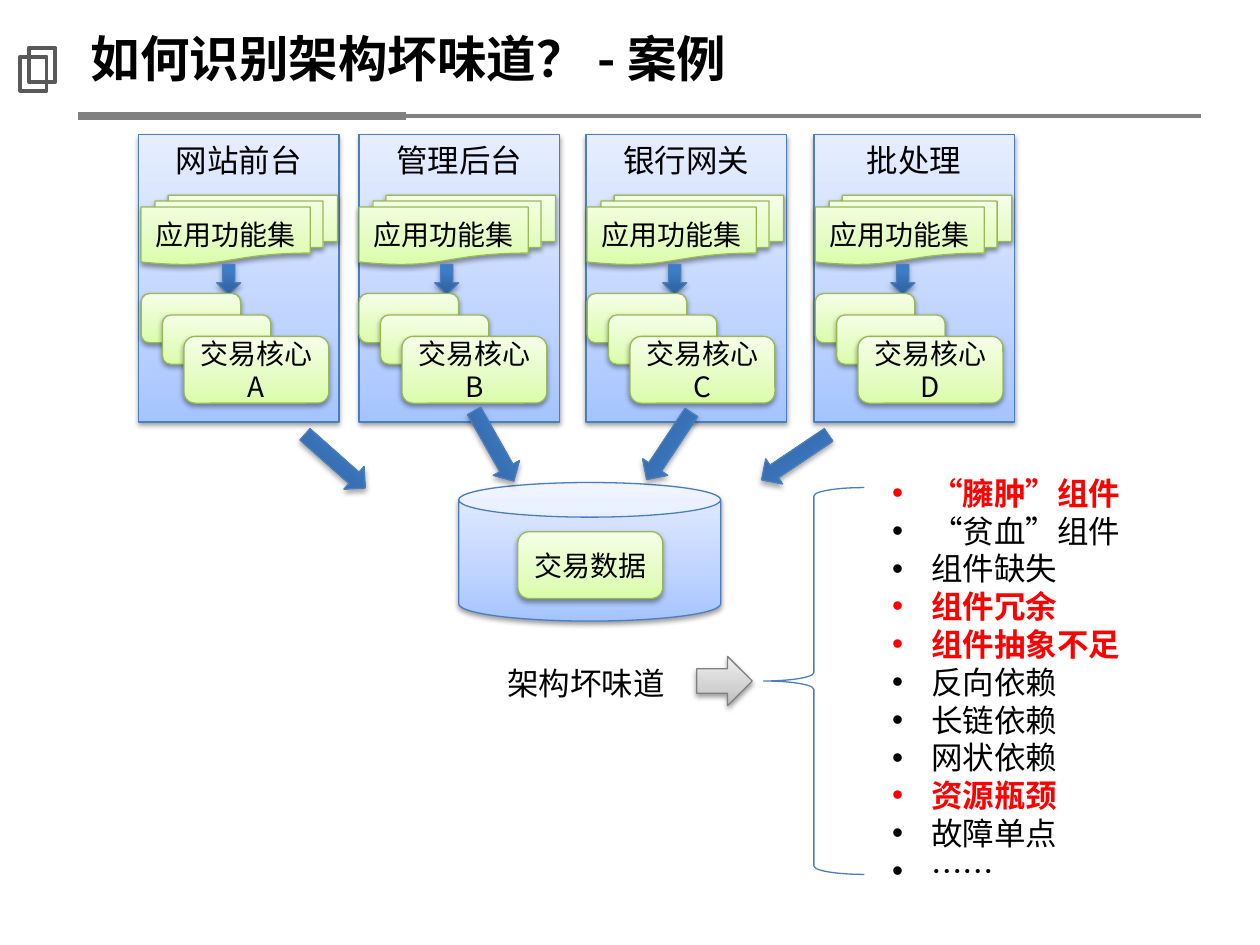
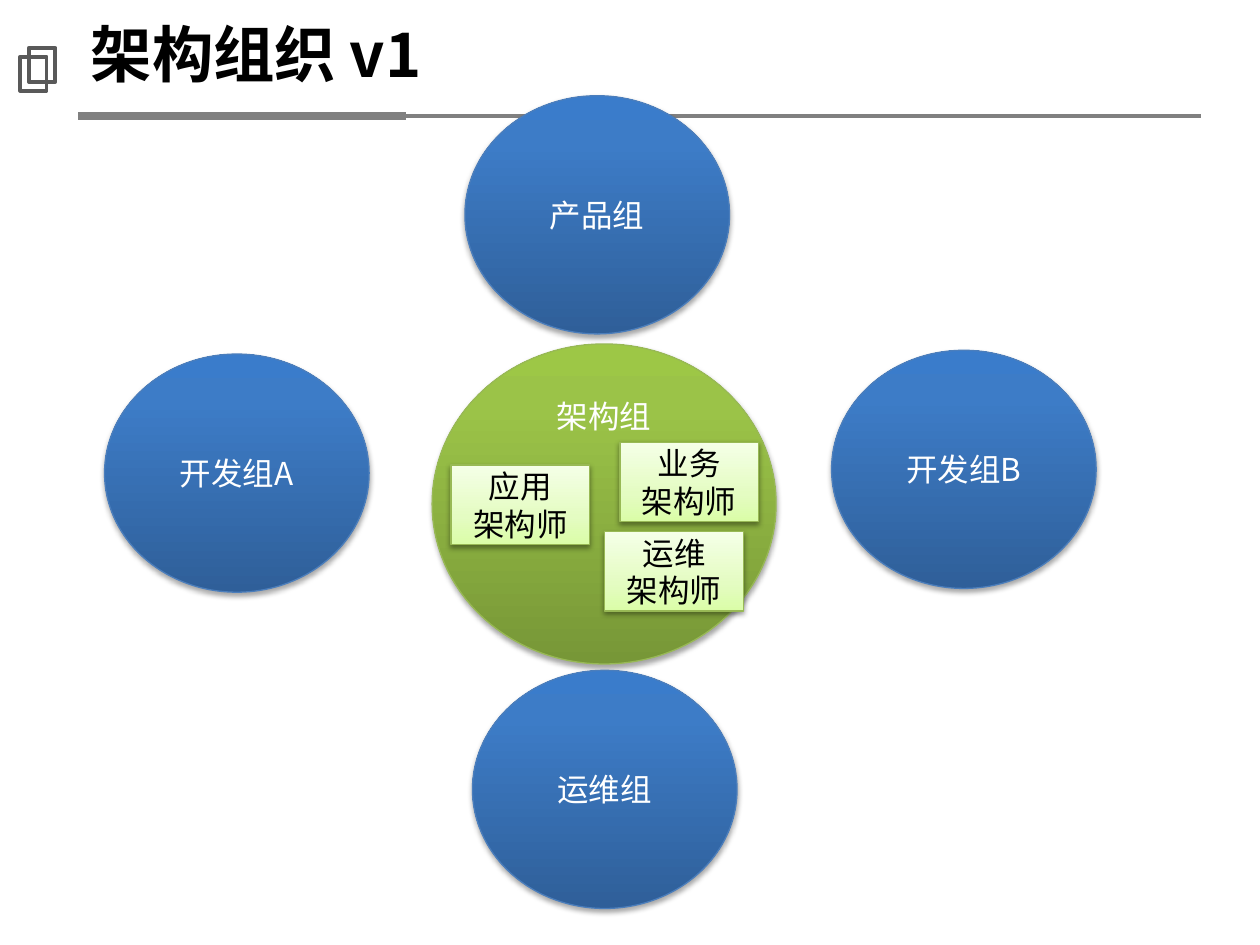
from dataclasses import dataclass

from lxml import etree
from pptx import Presentation
from pptx.dml.color import RGBColor
from pptx.enum.shapes import MSO_CONNECTOR, MSO_SHAPE
from pptx.enum.text import MSO_ANCHOR, MSO_AUTO_SIZE, PP_ALIGN
from pptx.oxml.ns import qn
from pptx.util import Inches, Pt

RECT, OVAL, CAN = MSO_SHAPE.RECTANGLE, MSO_SHAPE.OVAL, MSO_SHAPE.CAN
DOCUMENTS = MSO_SHAPE.FLOWCHART_MULTIDOCUMENT
ROUNDED = MSO_SHAPE.FLOWCHART_ALTERNATE_PROCESS
DOWN_ARROW, RIGHT_ARROW = MSO_SHAPE.DOWN_ARROW, MSO_SHAPE.RIGHT_ARROW
LEFT_BRACE, STRAIGHT = MSO_SHAPE.LEFT_BRACE, MSO_CONNECTOR.STRAIGHT
TOP, MIDDLE = MSO_ANCHOR.TOP, MSO_ANCHOR.MIDDLE
LEFT, CENTER = PP_ALIGN.LEFT, PP_ALIGN.CENTER
NO_FIT = MSO_AUTO_SIZE.NONE

FONT = "Noto Sans CJK SC"
LINE_HEIGHT = 1.2
COLORS = {
    "text": "000000", "inverse": "FFFFFF", "alert": "FF0000",
    "rule": "808080", "emblem": "595959", "shadow": "000000",
    "blue_line": "4B7EBC", "green_line": "98B955",
}


@dataclass(frozen=True)
class Look:
    """Gradient stops from bottom to top, outline and shadow of a shape."""
    stops: tuple[tuple[int, str], ...]
    line: str
    text: str = COLORS["text"]
    shadow_alpha: int = 38
    shadow_distance: float = 1.6


@dataclass(frozen=True)
class Area:
    left: float
    top: float
    width: float
    height: float


@dataclass(frozen=True)
class Subsystem:
    name: str
    core: str
    left: float
    content_left: float


@dataclass(frozen=True)
class FlowArrow:
    left: float
    top: float
    rotation: float


@dataclass(frozen=True)
class Block:
    label: str
    left: float
    top: float


PALE_BLUE = Look(((0, "A4C4FF"), (35, "BFD4FF"), (100, "E6EEFF")), COLORS["blue_line"])
PALE_GREEN = Look(((0, "DAFDA7"), (35, "E4FCC2"), (100, "F5FFE7")), COLORS["green_line"])
GREY = Look(((0, "BDBDBD"), (35, "D1D1D1"), (100, "EEEEEE")), COLORS["rule"])
BLUE = Look(((0, "2F5F99"), (80, "3D7CC7"), (100, "3A7CCB")), COLORS["blue_line"],
            COLORS["inverse"], 35, 1.8)
GREEN = Look(((0, "779737"), (80, "9BC348"), (100, "9DC746")), COLORS["green_line"],
             COLORS["inverse"], 35, 1.8)

SUBSYSTEMS = [
    Subsystem("网站前台", "A", 1.1, 1.12),
    Subsystem("管理后台", "B", 2.85, 2.85),
    Subsystem("银行网关", "C", 4.65, 4.66),
    Subsystem("批处理", "D", 6.46, 6.47),
]
FLOW_ARROWS = [
    FlowArrow(2.34, 3.54, 41.6), FlowArrow(3.6, 3.42, 60.5),
    FlowArrow(4.99, 3.42, 123.6), FlowArrow(5.99, 3.51, 146.1),
]
SMELLS = [
    ("“臃肿”组件", True), ("“贫血”组件", False), ("组件缺失", False),
    ("组件冗余", True), ("组件抽象不足", True), ("反向依赖", False),
    ("长链依赖", False), ("网状依赖", False), ("资源瓶颈", True),
    ("故障单点", False), ("……", False),
]
TEAMS = [
    Block("开发组B", 6.6, 2.78), Block("开发组A", 0.83, 2.81),
    Block("运维组", 3.75, 5.32), Block("产品组", 3.69, 0.76),
]
ARCHITECTS = [
    Block("应用", 3.58, 3.69), Block("运维", 4.8, 4.22), Block("业务", 4.92, 3.51),
]


def bounds(area: Area) -> tuple:
    return (Inches(area.left), Inches(area.top), Inches(area.width), Inches(area.height))


def place(shape, area: Area) -> None:
    shape.left, shape.top, shape.width, shape.height = bounds(area)


def add_color(parent, value: str):
    return etree.SubElement(parent, qn("a:srgbClr"), val=value)


def format_paragraph(para, size: float, color: str, bold: bool = False,
                     align=CENTER, tight: bool = False) -> None:
    """Set the font for all scripts; tight fixes the line height."""
    para.alignment = align
    para.space_before = para.space_after = Pt(0)
    if tight:
        para.line_spacing = Pt(size * LINE_HEIGHT)
    font = para.font
    font.size, font.bold, font.name = Pt(size), bold, FONT
    font.color.rgb = RGBColor.from_string(color)
    for span in para.runs:
        span.font.name = FONT
        etree.SubElement(span.font._element, qn("a:ea"), typeface=FONT)


def write(shape, lines: list[str], size: float, color: str, anchor=MIDDLE) -> None:
    frame = shape.text_frame
    frame.word_wrap = True
    frame.vertical_anchor = anchor
    frame.margin_left = frame.margin_right = Inches(0.05)
    frame.text = "\n".join(lines)
    for para in frame.paragraphs:
        format_paragraph(para, size, color, tight=anchor == TOP or len(lines) > 1)


def apply_look(shape, look: Look) -> None:
    shape.fill.gradient()
    shape.fill.gradient_angle = 90
    properties = shape.element.spPr
    stop_list = properties.find(qn("a:gradFill")).find(qn("a:gsLst"))
    for stop in list(stop_list):
        stop_list.remove(stop)
    for position, color in look.stops:
        add_color(etree.SubElement(stop_list, qn("a:gs"), pos=str(position * 1000)), color)
    shape.line.color.rgb = RGBColor.from_string(look.line)
    shape.line.width = Pt(0.75)
    effects = etree.SubElement(properties, qn("a:effectLst"))
    shadow = etree.SubElement(
        effects, qn("a:outerShdw"), blurRad=str(Pt(3.1)),
        dist=str(Pt(look.shadow_distance)), dir="5400000", rotWithShape="0")
    color = add_color(shadow, COLORS["shadow"])
    etree.SubElement(color, qn("a:alpha"), val=str(look.shadow_alpha * 1000))


def add_block(page, kind, area: Area, look: Look, lines: list[str] | None = None,
              size: float = 16, anchor=MIDDLE):
    shape = page.shapes.add_shape(kind, *bounds(area))
    apply_look(shape, look)
    if lines:
        write(shape, lines, size, look.text, anchor)
    return shape


def add_outline(page, kind, area: Area, color: str, width: float) -> None:
    shape = page.shapes.add_shape(kind, *bounds(area))
    shape.shadow.inherit = False
    shape.fill.background()
    shape.line.color.rgb = RGBColor.from_string(color)
    shape.line.width = Pt(width)


def add_rule(page, right: float, width: float) -> None:
    rule = page.shapes.add_connector(
        STRAIGHT, Inches(0.62), Inches(0.92), Inches(right), Inches(0.92))
    rule.line.color.rgb = RGBColor.from_string(COLORS["rule"])
    rule.line.width = Pt(width)
    etree.SubElement(rule.element.spPr, qn("a:effectLst"))


def new_page(deck, layout: int, title: str, size: float):
    """Add a slide with the shared title, double rule and emblem."""
    page = deck.slides.add_slide(deck.slide_layouts[layout])
    add_rule(page, 9.53, 2.25)
    add_rule(page, 3.22, 4.5)
    for left, top in ((0.16, 0.45), (0.23, 0.38)):
        add_outline(page, RECT, Area(left, top, 0.21, 0.27), COLORS["emblem"], 2.25)
    box = page.shapes.title
    place(box, Area(0.62, 0.14, 8.88, 0.64))
    frame = box.text_frame
    frame.text = title
    frame.auto_size = NO_FIT
    frame.vertical_anchor = MIDDLE
    format_paragraph(frame.paragraphs[0], size, COLORS["text"], True, LEFT)
    return page


def draw_subsystem(page, system: Subsystem) -> None:
    left = system.content_left
    add_block(page, RECT, Area(system.left, 1.07, 1.59, 2.28), PALE_BLUE,
              [system.name], 18, TOP)
    add_block(page, DOCUMENTS, Area(left, 1.55, 1.56, 0.55), PALE_GREEN, ["应用功能集"])
    add_block(page, DOWN_ARROW, Area(left + 0.6, 2.1, 0.19, 0.24), BLUE)
    add_block(page, ROUNDED, Area(left, 2.33, 0.79, 0.39), PALE_GREEN)
    add_block(page, ROUNDED, Area(left + 0.17, 2.5, 0.86, 0.39), PALE_GREEN)
    add_block(page, ROUNDED, Area(left + 0.34, 2.67, 1.15, 0.53), PALE_GREEN,
              ["交易核心", system.core])


def fill_smell_list(box) -> None:
    place(box, Area(6.98, 3.71, 2.03, 3.43))
    frame = box.text_frame
    frame.text = "\n".join(name for name, _ in SMELLS)
    frame.auto_size = NO_FIT
    frame.word_wrap = False
    for para, (_, present) in zip(frame.paragraphs, SMELLS):
        color = COLORS["alert" if present else "text"]
        format_paragraph(para, 18, color, present, LEFT, tight=True)
        properties = para._p.get_or_add_pPr()
        properties.set("marL", str(Inches(0.31)))
        properties.set("indent", str(-Inches(0.31)))
        bullet_font = etree.Element(qn("a:buFont"), typeface="Arial")
        bullet = etree.Element(qn("a:buChar"), char="•")
        font_position = properties.index(properties.find(qn("a:defRPr")))
        properties.insert(font_position, bullet_font)
        properties.insert(font_position + 1, bullet)


def build_smell_page(deck) -> None:
    page = new_page(deck, 1, "如何识别架构坏味道？ - 案例", 28.3)
    add_block(page, CAN, Area(3.64, 3.83, 2.08, 1.1), PALE_BLUE)
    for system in SUBSYSTEMS:
        draw_subsystem(page, system)
    add_block(page, ROUNDED, Area(4.11, 4.22, 1.15, 0.53), PALE_GREEN, ["交易数据"])
    for arrow in FLOW_ARROWS:
        shape = add_block(page, RIGHT_ARROW, Area(arrow.left, arrow.top, 0.64, 0.24), BLUE)
        shape.rotation = arrow.rotation
    add_block(page, RIGHT_ARROW, Area(5.53, 5.21, 0.44, 0.39), GREY)
    add_outline(page, LEFT_BRACE, Area(6.06, 3.87, 0.8, 3.07), COLORS["blue_line"], 0.75)
    fill_smell_list(page.placeholders[1])
    caption = page.shapes.add_textbox(*bounds(Area(3.92, 5.22, 1.46, 0.4)))
    write(caption, ["架构坏味道"], 18, COLORS["text"])


def build_team_page(deck) -> None:
    page = new_page(deck, 5, "架构组织 v1", 35.1)
    page.shapes.title.text_frame.paragraphs[0].line_spacing = 0.9
    add_block(page, OVAL, Area(3.43, 2.73, 2.73, 2.54), GREEN, ["架构组"], 18, TOP)
    for team in TEAMS:
        add_block(page, OVAL, Area(team.left, team.top, 2.1, 1.89), BLUE, [team.label], 18)
    for role in ARCHITECTS:
        add_block(page, RECT, Area(role.left, role.top, 1.1, 0.63), PALE_GREEN,
                  [role.label, "架构师"], 18)


def main() -> None:
    deck = Presentation()
    deck.slide_width, deck.slide_height = Inches(10), Inches(7.5)
    build_smell_page(deck)
    build_team_page(deck)
    deck.save("out.pptx")


if __name__ == "__main__":
    main()
